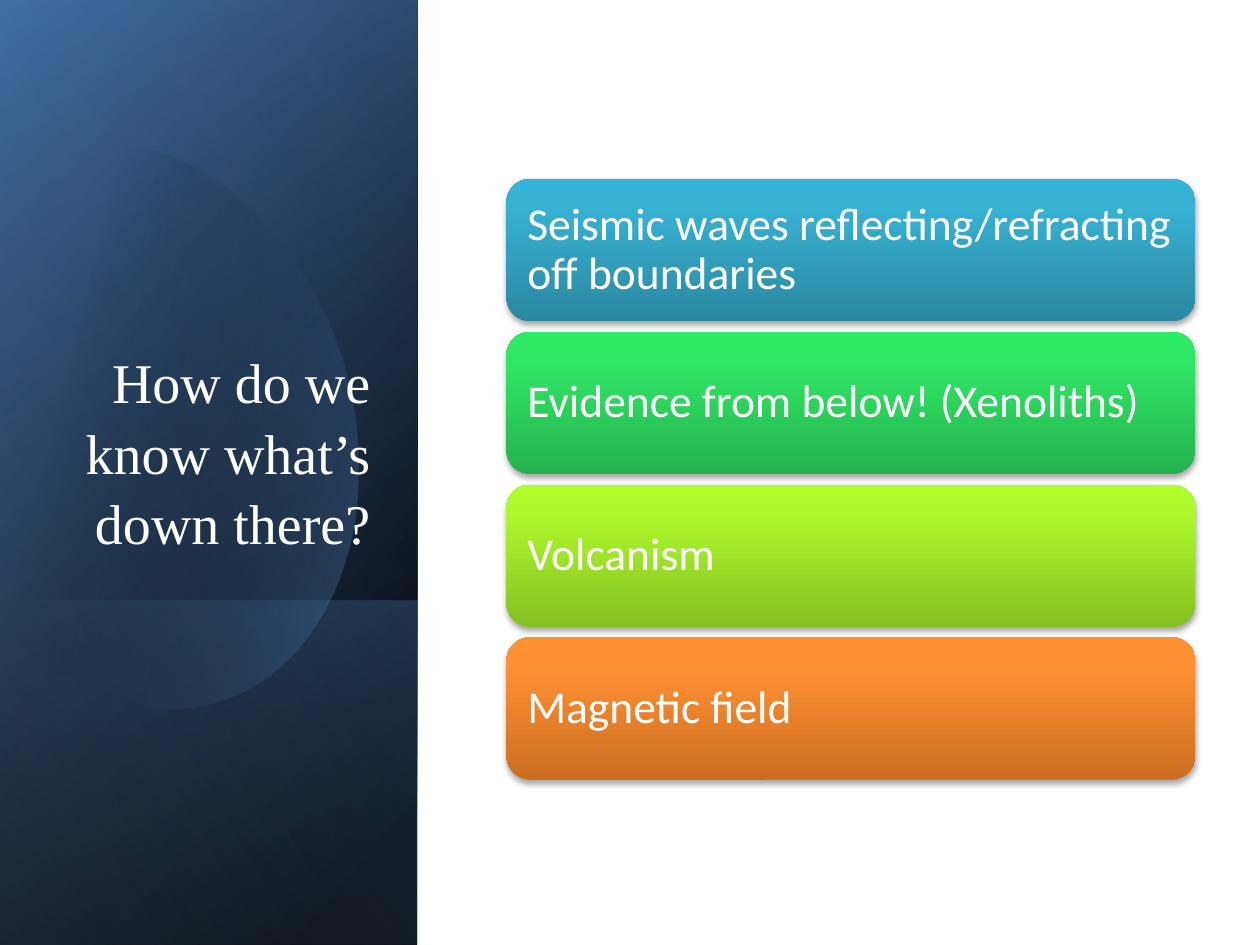
import dataclasses

import lxml.etree
import pptx
import pptx.dml.color
import pptx.enum.shapes
import pptx.enum.text
import pptx.oxml
import pptx.oxml.ns
import pptx.util

Cm = pptx.util.Cm
Shapes = pptx.enum.shapes.MSO_SHAPE
Anchor = pptx.enum.text.MSO_ANCHOR
Align = pptx.enum.text.PP_ALIGN


@dataclasses.dataclass(frozen=True)
class Theme:
    text: str = "FFFFFF"
    dark: str = "000000"
    navy: str = "376092"
    blue: str = "4F81BD"
    pale: str = "95B3D7"
    teal: tuple = ("2A88A2", "37B1D2", "34B4D6")
    green: tuple = ("25B24E", "30E765", "2DEB64")
    lime: tuple = ("85C022", "ADF92C", "AFFE28")
    orange: tuple = ("CC6E20", "FF9034", "FF9136")
    title_font: str = "Times New Roman"
    card_font: str = "Calibri"
    title_size: int = 32
    card_size: int = 26


THEME = Theme()

PANEL_WIDTH = 8.41
SLIDE_HEIGHT = 19.05

GLOW_START = (2.44, 2.9)
GLOW_CURVES = [
    [(4.34, 3.1), (6.2, 4.88), (6.93, 7.37)],
    [(7.8, 10.46), (6.65, 13.49), (4.34, 14.15)],
    [(2.9, 14.58), (1.35, 13.97), (0.18, 12.7)],
    [(-0.08, 12.4)],
    [(-0.64, 4.22)],
    [(-0.38, 3.91)],
    [(0.05, 3.48), (0.56, 3.18), (1.14, 3)],
    [(1.57, 2.87), (2.01, 2.84), (2.44, 2.9)],
]


def gradient_fill(shape, stops, angle):
    shape.fill.background()
    shape.line.fill.background()
    shape.shadow.inherit = False
    stop_xml = "".join(
        f'<a:gs pos="{position * 1000}"><a:srgbClr val="{color}">'
        f'<a:alpha val="{opacity * 1000}"/></a:srgbClr></a:gs>'
        for position, color, opacity in stops
    )
    gradient = pptx.oxml.parse_xml(
        f'<a:gradFill {pptx.oxml.ns.nsdecls("a")} rotWithShape="1">'
        f"<a:gsLst>{stop_xml}</a:gsLst>"
        f'<a:lin ang="{round(angle * 60000)}" scaled="0"/></a:gradFill>'
    )
    properties = shape._element.spPr
    properties.replace(properties.find(pptx.oxml.ns.qn("a:noFill")), gradient)


def add_soft_shadow(shape):
    effects = shape._element.spPr.find(pptx.oxml.ns.qn("a:effectLst"))
    effects.append(pptx.oxml.parse_xml(
        f'<a:outerShdw {pptx.oxml.ns.nsdecls("a")} blurRad="{pptx.util.Pt(3.1)}" '
        f'dist="{pptx.util.Pt(1.8)}" dir="5400000" rotWithShape="0">'
        f'<a:srgbClr val="{THEME.dark}"><a:alpha val="35000"/></a:srgbClr>'
        "</a:outerShdw>"
    ))


def add_panel_layer(slide, top, height, stops, angle):
    layer = slide.shapes.add_shape(
        Shapes.RECTANGLE,
        Cm((PANEL_WIDTH - height) / 2), Cm(top + (height - PANEL_WIDTH) / 2),
        Cm(height), Cm(PANEL_WIDTH),
    )
    layer.rotation = 90
    layer._element.spPr.find(pptx.oxml.ns.qn("a:xfrm")).set("flipH", "1")
    gradient_fill(layer, stops, angle)


def curve_points(start, controls, steps=24):
    if len(controls) == 1:
        return controls
    first, second, end = controls
    points = []
    for step in range(1, steps + 1):
        t = step / steps
        u = 1 - t
        points.append(tuple(
            u**3 * a + 3 * u**2 * t * b + 3 * u * t**2 * c + t**3 * d
            for a, b, c, d in zip(start, first, second, end)
        ))
    return points


def add_glow(slide):
    outline = [GLOW_START]
    for controls in GLOW_CURVES:
        outline += curve_points(outline[-1], controls)
    outline = [(round(x * 1000), round(y * 1000)) for x, y in outline]
    builder = slide.shapes.build_freeform(*outline[0], scale=Cm(1) / 1000)
    builder.add_line_segments(outline[1:], close=True)
    gradient_fill(
        builder.convert_to_shape(), [(29, THEME.dark, 0), (100, THEME.blue, 43)], 14
    )


def write_text(shape, text, font, size, anchor, alignment, spacing):
    frame = shape.text_frame
    frame.word_wrap = True
    frame.vertical_anchor = anchor
    paragraph = frame.paragraphs[0]
    paragraph.text = text
    paragraph.alignment = alignment
    paragraph.line_spacing = spacing
    paragraph.font.name = font
    paragraph.font.size = pptx.util.Pt(size)
    paragraph.font.color.rgb = pptx.dml.color.RGBColor.from_string(THEME.text)


def add_title(slide, text):
    title = slide.shapes.add_textbox(Cm(1.22), Cm(4.67), Cm(6.5), Cm(6.66))
    write_text(title, text, THEME.title_font, THEME.title_size,
               Anchor.BOTTOM, Align.RIGHT, 1.05)


def add_card(slide, index, text, colors):
    card = slide.shapes.add_shape(
        Shapes.ROUNDED_RECTANGLE,
        Cm(10.21), Cm(3.61 + 3.08 * index), Cm(13.89), Cm(2.87),
    )
    gradient_fill(card, [(p, c, 100) for p, c in zip((0, 80, 100), colors)], 270)
    add_soft_shadow(card)
    frame = card.text_frame
    frame.margin_left = frame.margin_right = Cm(0.28)
    frame.margin_top = frame.margin_bottom = Cm(0.28)
    write_text(card, text, THEME.card_font, THEME.card_size,
               Anchor.MIDDLE, Align.LEFT, 0.9)


def main():
    presentation = pptx.Presentation()
    presentation.slide_width = Cm(25.4)
    presentation.slide_height = Cm(SLIDE_HEIGHT)
    slide = presentation.slides.add_slide(presentation.slide_layouts[6])

    dark, blue = THEME.dark, THEME.blue
    add_panel_layer(slide, 0, SLIDE_HEIGHT, [(8, dark, 100), (100, THEME.navy, 100)], 50)
    add_panel_layer(slide, 0, SLIDE_HEIGHT, [(0, dark, 0), (99, blue, 46)], 30)
    add_panel_layer(slide, 12.1, 6.95, [(2, blue, 29), (100, dark, 30)], 130)
    add_glow(slide)
    add_panel_layer(slide, 0, SLIDE_HEIGHT, [(0, dark, 0), (99, THEME.pale, 11)], 120)

    add_title(slide, "How do we know what’s down there?")
    evidence = [
        ("Seismic waves reflecting/refracting off boundaries", THEME.teal),
        ("Evidence from below! (Xenoliths)", THEME.green),
        ("Volcanism", THEME.lime),
        ("Magnetic field", THEME.orange),
    ]
    for index, (text, colors) in enumerate(evidence):
        add_card(slide, index, text, colors)

    presentation.save("out.pptx")


if __name__ == "__main__":
    main()
